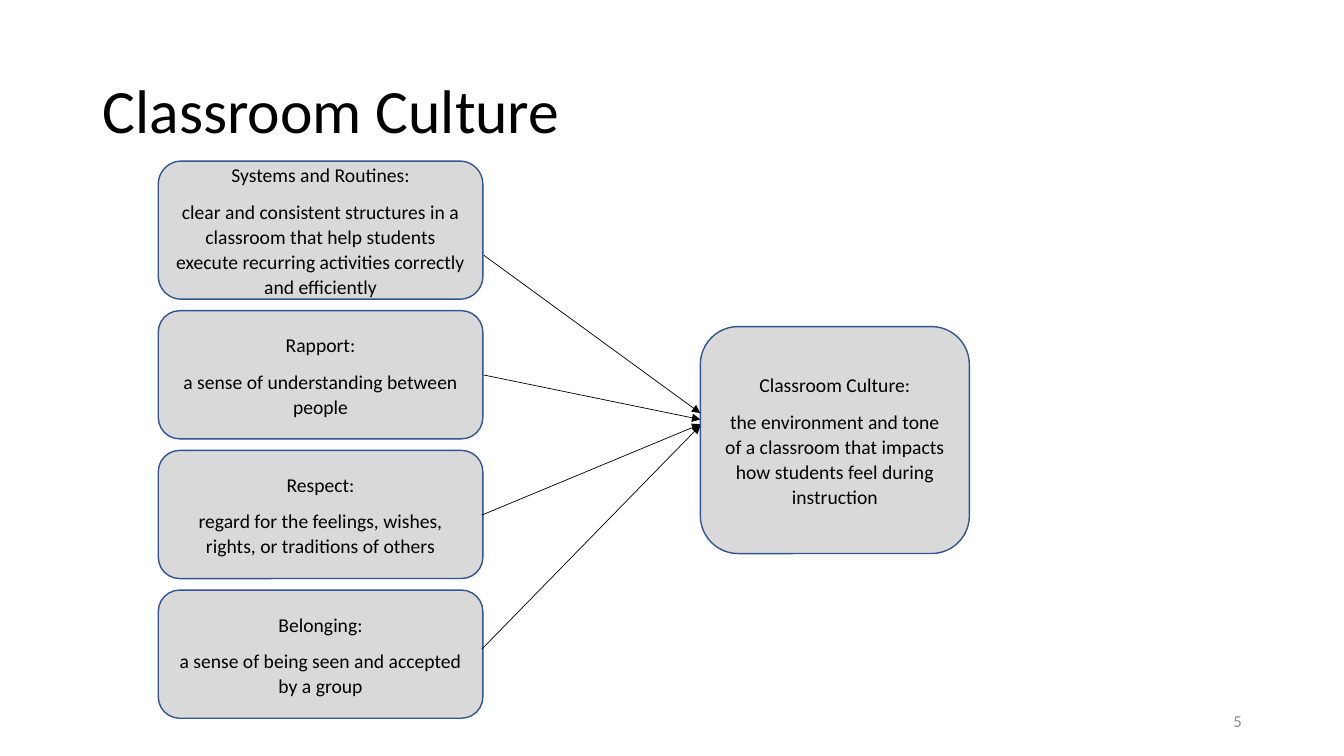
"""Build the Classroom Culture slide: four concepts pointing to one outcome."""
from dataclasses import dataclass

from lxml.etree import SubElement
from pptx import Presentation
from pptx.dml.color import RGBColor
from pptx.enum.shapes import MSO_CONNECTOR as Connector, MSO_SHAPE as Preset
from pptx.enum.text import MSO_ANCHOR as Anchor, PP_ALIGN as Align
from pptx.oxml.ns import qn
from pptx.slide import Slide
from pptx.text.text import TextFrame
from pptx.util import Cm, Pt

BLACK = RGBColor(0x00, 0x00, 0x00)
GREY = RGBColor(0x8C, 0x8C, 0x8C)
CARD_FILL = RGBColor(0xD9, 0xD9, 0xD9)
CARD_EDGE = RGBColor(0x32, 0x54, 0x91)

TITLE_FORMAT = {"line_spacing": 0.9}
CARD_FORMAT = {"alignment": Align.CENTER, "line_spacing": 1.07, "space_after": Pt(8)}
NUMBER_FORMAT = {"alignment": Align.RIGHT}

CONCEPT_LEFT, CONCEPT_TOP, CONCEPT_WIDTH, CONCEPT_GAP = 3.99, 4.06, 8.18, 0.29
CULTURE_LEFT = 17.65


@dataclass(frozen=True)
class Box:
    left: float
    top: float
    width: float
    height: float

    def lengths(self) -> tuple[Cm, Cm, Cm, Cm]:
        return Cm(self.left), Cm(self.top), Cm(self.width), Cm(self.height)


@dataclass(frozen=True)
class Concept:
    term: str
    meaning: str
    height: float
    arrow_left: float
    arrow_top: float
    arrow_end: float


CONCEPTS = (
    Concept("Systems and Routines:",
            "clear and consistent structures in a classroom that help students "
            "execute recurring activities correctly and efficiently",
            3.48, 12.19, 6.43, 10.41),
    Concept("Rapport:", "a sense of understanding between people",
            3.23, 12.19, 9.45, 10.57),
    Concept("Respect:",
            "regard for the feelings, wishes, rights, or traditions of others",
            3.23, 12.14, 12.98, 10.69),
    Concept("Belonging:", "a sense of being seen and accepted by a group",
            3.23, 12.14, 16.36, 10.72),
)


def write(frame: TextFrame, lines: tuple[str, ...], size: int,
          color: RGBColor, layout: dict) -> None:
    frame.word_wrap = True
    frame.vertical_anchor = Anchor.MIDDLE
    for index, line in enumerate(lines):
        paragraph = frame.add_paragraph() if index else frame.paragraphs[0]
        for name, value in layout.items():
            setattr(paragraph, name, value)
        run = paragraph.add_run()
        run.text = line
        for name, value in {"name": "Calibri", "size": Pt(size)}.items():
            setattr(run.font, name, value)
        run.font.color.rgb = color


def add_label(slide: Slide, box: Box, text: str, size: int,
              color: RGBColor, layout: dict) -> None:
    label = slide.shapes.add_textbox(*box.lengths())
    write(label.text_frame, (text,), size, color, layout)


def add_card(slide: Slide, box: Box, term: str, meaning: str) -> None:
    card = slide.shapes.add_shape(Preset.ROUNDED_RECTANGLE, *box.lengths())
    card.shadow.inherit = False
    card.fill.solid()
    card.fill.fore_color.rgb = CARD_FILL
    card.line.color.rgb = CARD_EDGE
    card.line.width = Pt(1)
    write(card.text_frame, (term, meaning), 14, BLACK, CARD_FORMAT)


def add_arrow(slide: Slide, concept: Concept) -> None:
    arrow = slide.shapes.add_connector(
        Connector.STRAIGHT, Cm(concept.arrow_left), Cm(concept.arrow_top),
        Cm(CULTURE_LEFT), Cm(concept.arrow_end))
    arrow.line.color.rgb = BLACK
    arrow.line.width = Pt(0.5)
    SubElement(arrow.line._get_or_add_ln(), qn("a:tailEnd"), type="triangle")
    SubElement(arrow._element.spPr, qn("a:effectLst"))


def main() -> None:
    deck = Presentation()
    deck.slide_width, deck.slide_height = Cm(33.87), Cm(19.05)
    slide = deck.slides.add_slide(deck.slide_layouts[6])

    add_label(slide, Box(2.34, 1.02, 29.21, 3.68), "Classroom Culture",
              44, BLACK, TITLE_FORMAT)
    top = CONCEPT_TOP
    for concept in CONCEPTS:
        add_card(slide, Box(CONCEPT_LEFT, top, CONCEPT_WIDTH, concept.height),
                 concept.term, concept.meaning)
        top += concept.height + CONCEPT_GAP
    add_card(slide, Box(CULTURE_LEFT, 8.23, 6.78, 5.72), "Classroom Culture:",
             "the environment and tone of a classroom that impacts "
             "how students feel during instruction")
    for concept in CONCEPTS:
        add_arrow(slide, concept)
    add_label(slide, Box(23.93, 17.65, 7.62, 1.02), "5", 12, GREY, NUMBER_FORMAT)

    deck.save("out.pptx")


if __name__ == "__main__":
    main()
